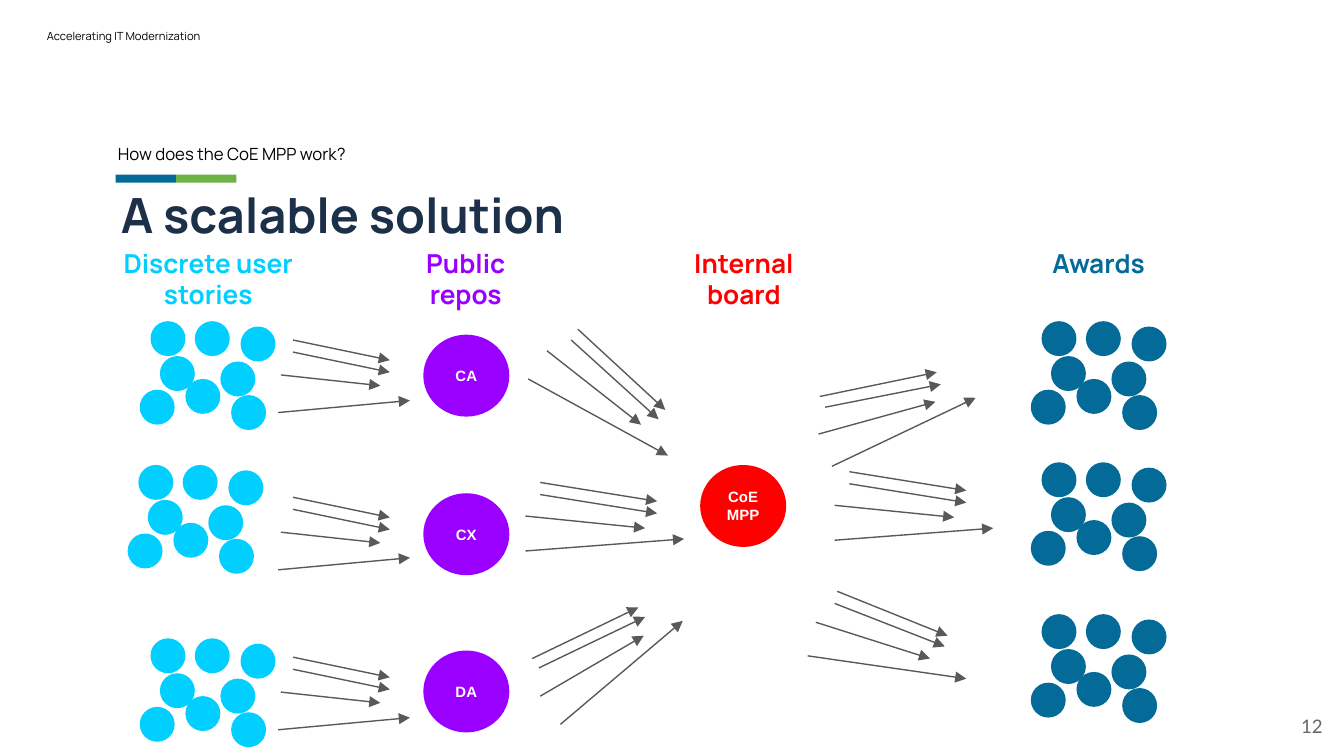
from dataclasses import dataclass

import lxml.etree
import pptx
import pptx.dml.color
import pptx.enum.shapes
import pptx.enum.text
import pptx.oxml.ns
import pptx.util

Inches = pptx.util.Inches
ALIGN = pptx.enum.text.PP_ALIGN
ANCHOR = pptx.enum.text.MSO_ANCHOR
SHAPE = pptx.enum.shapes.MSO_SHAPE

CYAN, PURPLE, RED, BLUE = "00CFFF", "9900FF", "FF0000", "046B99"
GREEN, NAVY, GREY, BLACK, WHITE = "6EB144", "1C304A", "595959", "000000", "FFFFFF"

Point = tuple[float, float]
Segment = tuple[float, float, float, float]


@dataclass(frozen=True)
class Style:
    size: float
    color: str
    font: str = "Manrope"
    bold: bool = False
    align: ALIGN = ALIGN.LEFT
    anchor: ANCHOR = ANCHOR.MIDDLE


@dataclass(frozen=True)
class Label:
    text: str
    box: Segment
    style: Style


@dataclass(frozen=True)
class Hub:
    text: str
    left: float
    top: float
    color: str


@dataclass(frozen=True)
class Cluster:
    left: float
    top: float
    color: str


@dataclass(frozen=True)
class Fan:
    """Arrows given as x1, y1, x2, y2, relative to an origin."""
    arrows: tuple[Segment, ...]
    origin: Point = (0, 0)


def heading(text: str, left: float, width: float, color: str) -> Label:
    style = Style(14, color, bold=True, align=ALIGN.CENTER, anchor=ANCHOR.TOP)
    return Label(text, (left, 1.74, width, 0.26), style)


TITLE = Label("A scalable solution", (0.8, 1.28, 8.43, 0.68),
              Style(26, NAVY, bold=True, anchor=ANCHOR.TOP))
LABELS = [
    Label("Accelerating IT Modernization", (0.25, 0.09, 1.52, 0.35), Style(6, BLACK)),
    Label("How does the CoE MPP work?", (0.78, 1.07, 2.17, 0.15), Style(9, BLACK)),
    Label("12", (9.34, 5.19, 0.6, 0.43), Style(10, "666666", "Lato", align=ALIGN.RIGHT)),
    heading("Discrete user stories", 0.78, 1.54, CYAN),
    heading("Public repos", 2.87, 1.19, PURPLE),
    heading("Internal board", 4.94, 1.19, RED),
    heading("Awards", 7.58, 1.19, BLUE),
]
HUB_STYLE = Style(8, WHITE, "Arial", bold=True, align=ALIGN.CENTER)
HUBS = [
    Hub("CA", 3.15, 2.49, PURPLE),
    Hub("CX", 3.15, 3.67, PURPLE),
    Hub("DA", 3.15, 4.84, PURPLE),
    Hub("CoE MPP", 5.21, 3.46, RED),
]
DOT_SIZE = 0.26
DOT_OFFSETS = [(0.08, 0), (0.15, 0.26), (0.41, 0), (0.6, 0.3),
               (0, 0.51), (0.34, 0.43), (0.68, 0.55), (0.75, 0.04)]
CLUSTERS = [Cluster(1.04, 2.39, CYAN), Cluster(0.95, 3.46, CYAN), Cluster(1.04, 4.75, CYAN),
            *(Cluster(7.67, top, BLUE) for top in (2.39, 3.44, 4.57))]

STORY_ARROWS = ((0.11, 0, 0.83, 0.15), (0.11, 0.09, 0.83, 0.24),
                (0, 0.54, 0.98, 0.45), (0.02, 0.26, 0.76, 0.34))
LEVEL_ARROWS = ((0.11, 0, 0.98, 0.14), (0.11, 0.09, 0.98, 0.23),
                (0, 0.51, 1.18, 0.42), (0, 0.25, 0.89, 0.34))
FANS = [
    *(Fan(STORY_ARROWS, (2.07, top)) for top in (2.53, 3.7, 4.89)),
    Fan(LEVEL_ARROWS, (3.91, 3.59)),
    Fan(LEVEL_ARROWS, (6.21, 3.51)),
    Fan(((4.3, 2.45, 4.95, 3.05), (4.25, 2.53, 4.9, 3.12),
         (3.93, 2.82, 4.97, 3.39), (4.07, 2.61, 4.77, 3.16))),
    Fan(((3.96, 4.9, 4.75, 4.52), (4.01, 4.97, 4.8, 4.59),
         (4.17, 5.39, 5.08, 4.62), (4.02, 5.18, 4.79, 4.73))),
    Fan(((6.1, 2.95, 6.97, 2.77), (6.14, 3.03, 7, 2.86),
         (6.19, 3.47, 7.26, 2.96), (6.09, 3.23, 6.96, 2.99))),
    Fan(((6.23, 4.4, 7.05, 4.73), (6.21, 4.49, 7.03, 4.81),
         (6.01, 4.88, 7.19, 5.05), (6.07, 4.63, 6.92, 4.9))),
]


def rgb(color: str) -> pptx.dml.color.RGBColor:
    return pptx.dml.color.RGBColor.from_string(color)


def write(holder, text: str, style: Style) -> None:
    frame = holder.text_frame
    frame.text = text
    inset = Inches(0.1)
    frame_format = {
        "word_wrap": True, "auto_size": pptx.enum.text.MSO_AUTO_SIZE.NONE,
        "vertical_anchor": style.anchor, "margin_left": inset, "margin_right": inset,
        "margin_top": inset, "margin_bottom": inset,
    }
    for name, value in frame_format.items():
        setattr(frame, name, value)
    paragraph = frame.paragraphs[0]
    paragraph.alignment = style.align
    font_format = {"name": style.font, "size": pptx.util.Pt(style.size), "bold": style.bold}
    for name, value in font_format.items():
        setattr(paragraph.runs[0].font, name, value)
    paragraph.runs[0].font.color.rgb = rgb(style.color)


def draw_solid(shapes, kind: SHAPE, box: Segment, color: str):
    solid = shapes.add_shape(kind, *map(Inches, box))
    solid.shadow.inherit = False
    solid.fill.solid()
    solid.fill.fore_color.rgb = rgb(color)
    solid.line.fill.background()
    return solid


def draw_label(shapes, label: Label) -> None:
    write(shapes.add_textbox(*map(Inches, label.box)), label.text, label.style)


def draw_hub(shapes, hub: Hub) -> None:
    circle = draw_solid(shapes, SHAPE.OVAL, (hub.left, hub.top, 0.64, 0.61), hub.color)
    write(circle, hub.text, HUB_STYLE)


def draw_cluster(shapes, cluster: Cluster) -> None:
    dots = shapes.add_group_shape().shapes
    for dx, dy in DOT_OFFSETS:
        box = (cluster.left + dx, cluster.top + dy, DOT_SIZE, DOT_SIZE)
        draw_solid(dots, SHAPE.OVAL, box, cluster.color)


def draw_fan(shapes, fan: Fan) -> None:
    arrows = shapes.add_group_shape().shapes
    x, y = fan.origin
    for x1, y1, x2, y2 in fan.arrows:
        ends = map(Inches, (x + x1, y + y1, x + x2, y + y2))
        arrow = arrows.add_connector(pptx.enum.shapes.MSO_CONNECTOR.STRAIGHT, *ends)
        arrow.line.color.rgb = rgb(GREY)
        arrow.line.width = pptx.util.Pt(0.75)
        qn = pptx.oxml.ns.qn
        properties = arrow.element.spPr
        lxml.etree.SubElement(properties.find(qn("a:ln")), qn("a:tailEnd"), type="triangle")
        lxml.etree.SubElement(properties, qn("a:effectLst"))


def main() -> None:
    deck = pptx.Presentation()
    deck.slide_width = Inches(10)
    deck.slide_height = deck.slide_width * 9 // 16
    slide = deck.slides.add_slide(deck.slide_layouts[5])
    shapes = slide.shapes

    for left, color in ((0.86, BLUE), (1.31, GREEN)):
        draw_solid(shapes, SHAPE.RECTANGLE, (left, 1.3, 0.45, 0.06), color)
    for side, value in zip(("left", "top", "width", "height"), TITLE.box):
        setattr(shapes.title, side, Inches(value))
    write(shapes.title, TITLE.text, TITLE.style)

    for label in LABELS:
        draw_label(shapes, label)
    for hub in HUBS:
        draw_hub(shapes, hub)
    for cluster in CLUSTERS:
        draw_cluster(shapes, cluster)
    for fan in FANS:
        draw_fan(shapes, fan)
    deck.save("out.pptx")


if __name__ == "__main__":
    main()
